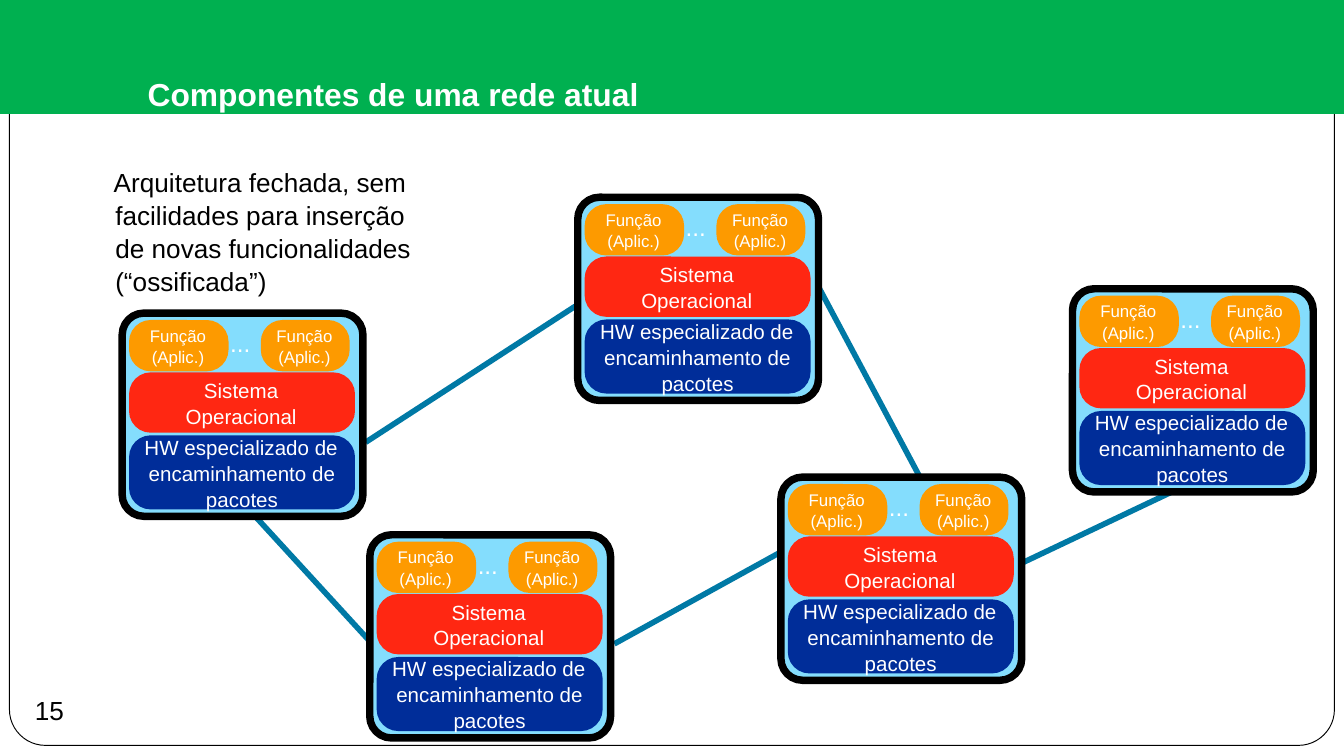
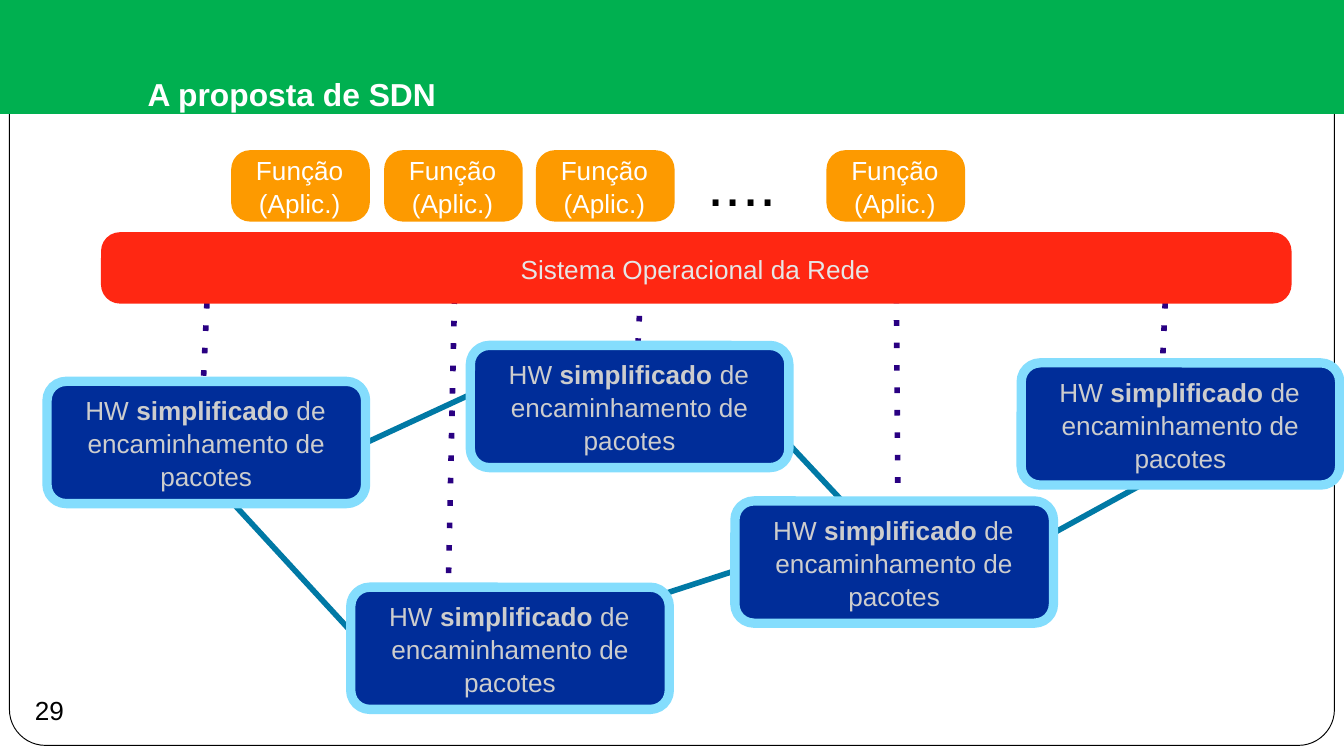
"""Builds two slides comparing a present-day network with the SDN proposal."""
import pptx
import pptx.util
import pptx.dml.color
import pptx.enum.dml
import pptx.enum.shapes
import pptx.enum.text
import pptx.oxml.ns
from lxml import etree

Cm = pptx.util.Cm
Pt = pptx.util.Pt
RGBColor = pptx.dml.color.RGBColor
Shape = pptx.enum.shapes.MSO_SHAPE
Align = pptx.enum.text.PP_ALIGN
Anchor = pptx.enum.text.MSO_ANCHOR
qn = pptx.oxml.ns.qn

FONT = "Arial"
WHITE = RGBColor(0xFF, 0xFF, 0xFF)
BLACK = RGBColor(0x00, 0x00, 0x00)
GREEN = RGBColor(0x00, 0xB0, 0x50)
ORANGE = RGBColor(0xFD, 0x9A, 0x00)
RED = RGBColor(0xFF, 0x27, 0x12)
NAVY = RGBColor(0x00, 0x2D, 0x99)
SKY = RGBColor(0x84, 0xDD, 0xFD)
TEAL = RGBColor(0x00, 0x79, 0xA5)
PURPLE = RGBColor(0x29, 0x00, 0x82)
SILVER = RGBColor(0xCD, 0xCD, 0xCD)
PALE = RGBColor(0xE6, 0xE6, 0xE6)

FUNCTION = [("Função",), ("(Aplic.)",)]
SYSTEM = [("Sistema",), ("Operacional",)]
CLOSED_HARDWARE = [("HW especializado de encaminhamento de pacotes",)]
SIMPLE_HARDWARE = [("HW ", "simplificado", " de encaminhamento de pacotes")]
DOTS = [("....",)]


def write(shape, lines, size, color, align=Align.CENTER):
    """Fill a shape with lines, each a tuple of runs whose odd entries are bold."""
    frame = shape.text_frame
    frame.word_wrap = True
    frame.margin_left = frame.margin_top = frame.margin_bottom = 0
    frame.margin_right = Cm(0.1)
    frame.vertical_anchor = Anchor.MIDDLE if align == Align.CENTER else Anchor.TOP
    for number, runs in enumerate(lines):
        paragraph = frame.add_paragraph() if number else frame.paragraphs[0]
        paragraph.alignment = align
        paragraph.line_spacing = 1.05
        properties = paragraph._p.get_or_add_pPr()
        properties.set("marL", str(Cm(0.1)))
        properties.set("indent", str(-Cm(0.03)))
        for index, text in enumerate(runs):
            run = paragraph.add_run()
            run.text = text
            run.font.name = FONT
            run.font.size = Pt(size)
            run.font.bold = index % 2 == 1
            run.font.color.rgb = color


def add_block(shapes, box, fill, radius, border=None, weight=0):
    """Add a rounded block measured in centimetres."""
    block = shapes.add_shape(Shape.ROUNDED_RECTANGLE, *map(Cm, box))
    block.adjustments[0] = radius / min(box[2:])
    block.shadow.inherit = False
    block.fill.solid()
    block.fill.fore_color.rgb = fill
    if border is None:
        block.line.fill.background()
    else:
        block.line.color.rgb = border
        block.line.width = Pt(weight)
    return block


deck = pptx.Presentation()
deck.slide_width, deck.slide_height = Cm(25.4), Cm(14.29)
layout = deck.slide_layouts[5]

slides = []
for heading, number in (("Componentes de uma rede atual", "15"), ("A proposta de SDN", "29")):
    slide = deck.slides.add_slide(layout)
    slides.append(slide)
    title = slide.shapes.title
    title.left, title.top, title.width, title.height = map(Cm, (2.54, 0.58, 21.59, 2.39))
    write(title, [("", heading)], 17, WHITE, Align.LEFT)
    title_frame = title.text_frame
    title_frame.vertical_anchor = Anchor.MIDDLE
    title_frame.margin_left = title_frame.margin_top = title_frame.margin_bottom = Cm(0.25)
    title_frame.margin_right = Cm(0.33)
    title_paragraph = title_frame.paragraphs[0]
    title_paragraph.line_spacing = 1.0
    title_paragraph._p.pPr.set("marL", "0")
    title_paragraph._p.pPr.set("indent", "0")
    title_paragraph._p.remove(title_paragraph.runs[0]._r)

    page = slide.shapes.add_textbox(*map(Cm, (0.41, 12.93, 1.27, 0.97)))
    page_frame = page.text_frame
    page_frame.word_wrap = False
    page_frame.vertical_anchor = Anchor.MIDDLE
    page_run = page_frame.paragraphs[0].add_run()
    page_run.text = number
    page_run.font.name = FONT
    page_run.font.size = Pt(14)
    page_run.font.color.rgb = BLACK

current, proposal = slides

border_frame = add_block(current.shapes, (0.18, 0.15, 25.04, 13.94), WHITE, 0.68, BLACK, 0.5)
band = current.shapes.add_shape(Shape.RECTANGLE, 0, 0, deck.slide_width, Cm(2.13))
band.shadow.inherit = False
band.fill.solid()
band.fill.fore_color.rgb = GREEN
band.line.color.rgb = GREEN
band.line.width = Pt(1)
for position, part in enumerate((border_frame, band), start=2):
    deck.slide_master.shapes.element.insert(position, part.element)

current_links = [
    (4.42, 9.32, 6.96, 12.09), (6.91, 8.36, 10.87, 5.79), (11.61, 12.17, 14.71, 10.46),
    (17.45, 9.14, 15.42, 5.33), (19.15, 10.72, 23.22, 8.79),
]
control_links = [
    (3.81, 7.95, 3.94, 5.08), (11.99, 7.77, 12.14, 4.9), (8.46, 11.68, 8.59, 5.59),
    (16.97, 9.55, 16.94, 5.56), (21.92, 7.95, 22.05, 5.08),
]
proposal_links = [
    (4.42, 9.53, 6.96, 12.29), (5.79, 8.89, 9.53, 7.16), (11.61, 11.53, 14.81, 10.49),
    (16.33, 9.91, 13.97, 7.39), (19.1, 10.52, 23.42, 8.15),
]
for slide, links, color, dotted in (
    (current, current_links, TEAL, False),
    (proposal, control_links, PURPLE, True),
    (proposal, proposal_links, TEAL, False),
):
    for ends in links:
        link = slide.shapes.add_connector(
            pptx.enum.shapes.MSO_CONNECTOR.STRAIGHT, *map(Cm, ends))
        link.line.color.rgb = color
        link.line.width = Pt(3)
        if dotted:
            link.line.dash_style = pptx.enum.dml.MSO_LINE.ROUND_DOT
            link.element.spPr.find(".//" + qn("a:prstDash")).set("val", "dot")
        etree.SubElement(link.element.spPr, qn("a:effectLst"))

for left, top in ((14.76, 9.02), (2.31, 5.92), (10.92, 3.73), (6.99, 10.11), (20.27, 5.46)):
    router = current.shapes.add_group_shape().shapes
    add_block(router, (left, top, 4.55, 3.84), SKY, 0.41, BLACK, 4)
    for offset, width in ((0.13, 1.88), (2.62, 1.68)):
        function = add_block(router, (left + offset, top + 0.13, width, 0.97), ORANGE, 0.41)
        write(function, FUNCTION, 9, WHITE)
    dots = router.add_textbox(*map(Cm, (left + 1.97, top + 0.26, 0.61, 0.58)))
    write(dots, DOTS, 13, WHITE, Align.LEFT)
    for offset, height, fill, lines in (
        (1.12, 1.14, RED, SYSTEM), (2.31, 1.4, NAVY, CLOSED_HARDWARE),
    ):
        layer = add_block(router, (left + 0.13, top + offset, 4.27, height), fill, 0.41)
        write(layer, lines, 11, WHITE)

remark = current.shapes.add_textbox(*map(Cm, (2.08, 3.12, 6.02, 2.08)))
write(remark, [("Arquitetura fechada, sem facilidades para inserção de novas "
                "funcionalidades (“ossificada”)",)], 14, BLACK, Align.LEFT)

network_system = add_block(proposal.shapes, (1.91, 4.39, 22.5, 1.35), RED, 0.36)
write(network_system, [("Sistema Operacional da Rede",)], 14, PALE)

for left in (4.37, 7.26, 10.13, 15.62):
    function = add_block(proposal.shapes, (left, 2.84, 2.62, 1.35), ORANGE, 0.36)
    write(function, FUNCTION, 14, WHITE)

more_functions = proposal.shapes.add_textbox(*map(Cm, (13.31, 2.67, 1.75, 1.35)))
write(more_functions, DOTS, 33, BLACK, Align.LEFT)

for left, top in ((0.89, 7.21), (19.3, 6.86), (8.89, 6.53), (13.89, 9.47), (6.63, 11.1)):
    hardware = add_block(proposal.shapes, (left, top, 6.02, 2.31), NAVY, 0.36, SKY, 5)
    write(hardware, SIMPLE_HARDWARE, 14, SILVER)

deck.save("out.pptx")
